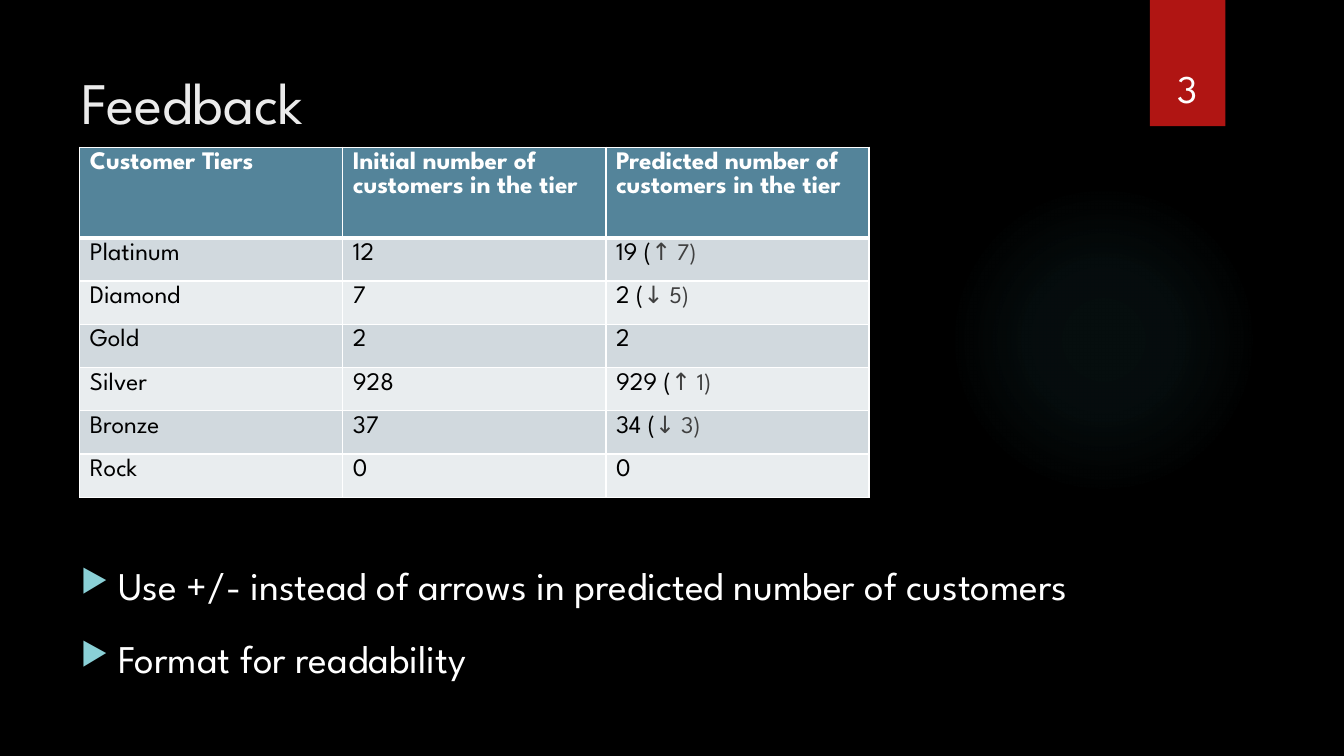
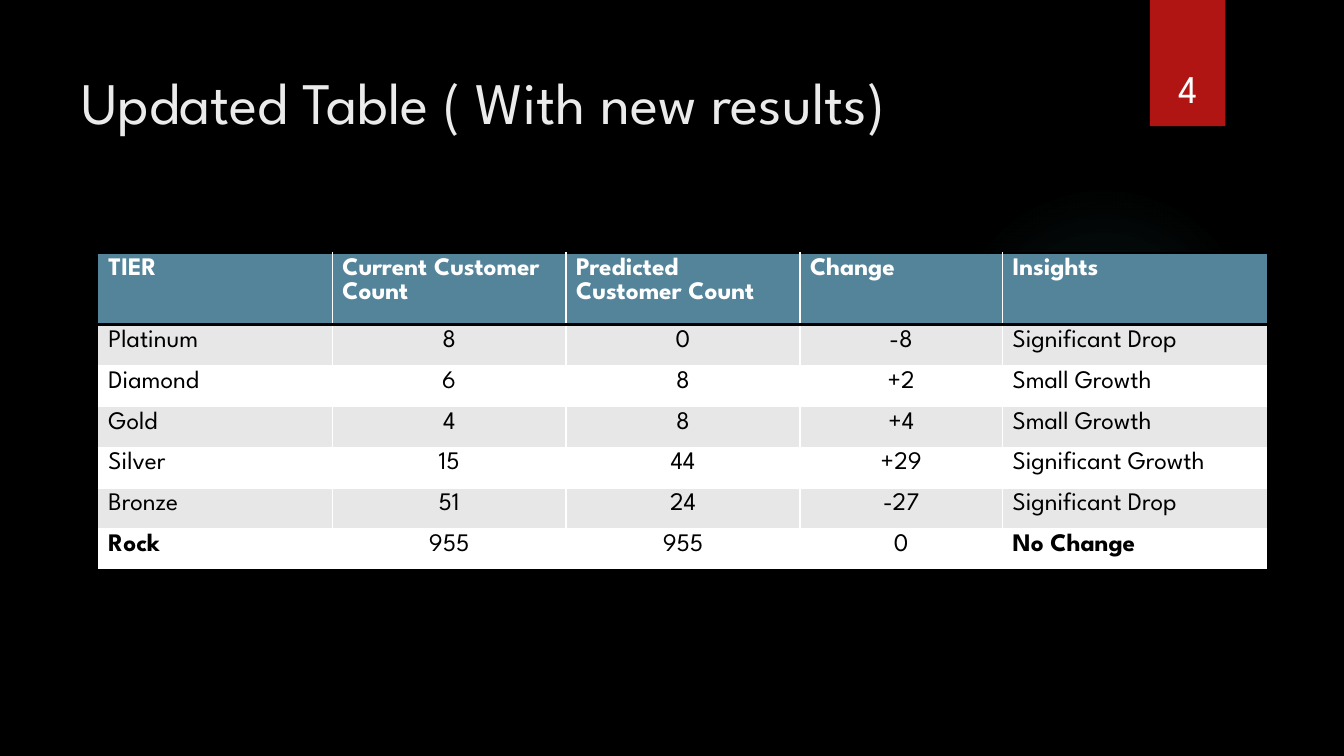
from dataclasses import dataclass

from pptx import Presentation
from pptx.dml.color import RGBColor
from pptx.enum.shapes import MSO_SHAPE
from pptx.enum.text import MSO_ANCHOR, PP_ALIGN
from pptx.oxml import parse_xml
from pptx.oxml.ns import nsdecls
from pptx.util import Cm, Pt

FONT = "League Spartan"
COLOURS = {
    "black": "000000",
    "white": "FFFFFF",
    "title": "EBEBEB",
    "ribbon": "B01513",
    "glow": "50B9C1",
    "bullet": "8AD0D6",
    "header": "54849A",
    "change": "404040",
    "blue band": "D1D9DE",
    "pale blue band": "E9EDEF",
    "grey band": "E7E7E7",
}


@dataclass
class Box:
    """A rectangle in centimetres."""
    left: float
    top: float
    width: float
    height: float

    def lengths(self):
        """Return the four measures as slide lengths."""
        return [Cm(n) for n in (self.left, self.top, self.width, self.height)]


@dataclass
class TableStyle:
    """The bands and borders of a table; an edge is (colour, points) or None."""
    bands: tuple
    top: tuple
    under_header: tuple
    bottom: tuple
    sides: tuple
    inner: tuple = ("white", 1)


TITLE_BOX = Box(1.8, 1.27, 26.14, 2.54)
RIBBON_BOX = Box(28.98, 0, 1.9, 3.18)
GLOW_BOX = Box(23.9, 4.65, 7.82, 7.82)

FEEDBACK_STYLE = TableStyle(("blue band", "pale blue band"), ("white", 1),
                            ("white", 3), ("white", 1), ("white", 1))
UPDATED_STYLE = TableStyle(("grey band", "white"), ("black", 2),
                           ("black", 2), ("black", 2), None)

FEEDBACK_ROWS = [
    ["Customer Tiers", "Initial number of customers in the tier",
     "Predicted number of customers in the tier"],
    ["Platinum", "12", ("19 (", "↑ 7)")],
    ["Diamond", "7", ("2 (", "↓ 5)")],
    ["Gold", "2", "2"],
    ["Silver", "928", ("929 (", "↑ 1)")],
    ["Bronze", "37", ("34 (", "↓ 3)")],
    ["Rock", "0", "0"],
]
FEEDBACK_POINTS = [
    "Use +/- instead of arrows in predicted number of customers",
    "Format for readability",
]
UPDATED_ROWS = [
    ["TIER", "Current Customer Count", "Predicted Customer Count", "Change", "Insights"],
    ["Platinum", "8", "0", "-8", "Significant Drop"],
    ["Diamond", "6", "8", "+2", "Small Growth"],
    ["Gold", "4", "8", "+4", "Small Growth"],
    ["Silver", "15", "44", "+29", "Significant Growth"],
    ["Bronze", "51", "24", "-27", "Significant Drop"],
    ["Rock", "955", "955", "0", "No Change"],
]


def colour(name):
    """Return a named colour."""
    return RGBColor.from_string(COLOURS[name])


def set_font(font, size, colour_name, bold=False):
    """Style the font of a paragraph or run."""
    font.name = FONT
    font.size = Pt(size)
    font.bold = bold
    font.color.rgb = colour(colour_name)


def add_text(page, box, lines, size, colour_name, anchor=MSO_ANCHOR.TOP):
    """Add a wrapping text box and return its paragraphs."""
    frame = page.shapes.add_textbox(*box.lengths()).text_frame
    frame.word_wrap = True
    frame.vertical_anchor = anchor
    frame.text = "\n".join(lines)
    for para in frame.paragraphs:
        set_font(para.font, size, colour_name)
    return frame.paragraphs


def add_plain_shape(page, box, kind):
    """Add a preset shape without line or shadow."""
    shape = page.shapes.add_shape(kind, *box.lengths())
    shape.line.fill.background()
    shape.shadow.inherit = False
    return shape


def add_glow(page, box):
    """Add the faint round glow behind the content."""
    glow = add_plain_shape(page, box, MSO_SHAPE.OVAL)
    stops = "".join(
        f'<a:gs pos="{place * 1000}"><a:srgbClr val="{COLOURS["glow"]}">'
        f'<a:alpha val="{alpha * 1000}"/></a:srgbClr></a:gs>'
        for place, alpha in ((0, 7), (36, 6), (69, 0), (100, 0)))
    gradient = parse_xml(
        f'<a:gradFill {nsdecls("a")}><a:gsLst>{stops}</a:gsLst><a:path path="circle">'
        '<a:fillToRect l="50000" t="50000" r="50000" b="50000"/></a:path></a:gradFill>')
    glow.element.spPr.insert(2, gradient)


def add_ribbon(page, box, number):
    """Add the red ribbon with the slide number."""
    ribbon = add_plain_shape(page, box, MSO_SHAPE.RECTANGLE)
    ribbon.fill.solid()
    ribbon.fill.fore_color.rgb = colour("ribbon")
    number_box = Box(box.left - 0.22, box.top + 0.81, box.width + 0.44, 2.13)
    para = add_text(page, number_box, [str(number)], 28, "white", MSO_ANCHOR.BOTTOM)[0]
    para.alignment = PP_ALIGN.CENTER


def add_page(deck, title, number):
    """Add a page with the shared glow, ribbon and title."""
    page = deck.slides.add_slide(deck.slide_layouts[6])
    add_glow(page, GLOW_BOX)
    add_ribbon(page, RIBBON_BOX, number)
    add_text(page, TITLE_BOX, [title], 42, "title", MSO_ANCHOR.MIDDLE)
    return page


def add_bullets(page, box, lines):
    """Add a list with triangle bullets."""
    for index, para in enumerate(add_text(page, box, lines, 28, "white")):
        properties = para._p.get_or_add_pPr()
        properties.set("marL", str(Cm(0.95)))
        properties.set("indent", str(-Cm(0.95)))
        bullet = (f'<a:buClr {nsdecls("a")}><a:srgbClr val="{COLOURS["bullet"]}"/></a:buClr>',
                  f'<a:buSzPct {nsdecls("a")} val="80000"/>',
                  f'<a:buChar {nsdecls("a")} char="▶"/>')
        for place, xml in enumerate(bullet):
            properties.insert(place, parse_xml(xml))
        if index:
            para.space_before = Pt(18.5)


def set_border(cell, side, edge):
    """Draw one side of a cell, or clear it when there is no edge."""
    width, paint = 0, "<a:noFill/>"
    if edge:
        width = Pt(edge[1])
        paint = f'<a:solidFill><a:srgbClr val="{COLOURS[edge[0]]}"/></a:solidFill>'
    line = f'<a:ln{side} {nsdecls("a")} w="{width}">{paint}</a:ln{side}>'
    cell._tc.get_or_add_tcPr().append(parse_xml(line))


def fill_cell(cell, text, fill, colour_name, bold, centred):
    """Write a cell; the second part of a pair is a smaller grey run."""
    cell.fill.solid()
    cell.fill.fore_color.rgb = colour(fill)
    para = cell.text_frame.paragraphs[0]
    set_font(para.font, 18, colour_name, bold)
    para.alignment = PP_ALIGN.CENTER if centred else PP_ALIGN.LEFT
    for index, part in enumerate([text] if isinstance(text, str) else text):
        span = para.add_run()
        span.text = part
        if index:
            set_font(span.font, 17, "change")


def add_tier_table(page, box, rows, widths, header_height, style,
                   centred=(), bold_cells=()):
    """Add a banded table whose columns share the width of the box."""
    table = page.shapes.add_table(len(rows), len(widths), *box.lengths()).table
    table.horz_banding = False
    for column, width in zip(table.columns, widths):
        column.width = Cm(box.width * width / sum(widths))
    row_height = (box.height - header_height) / (len(rows) - 1)
    inner_rows = [style.inner] * (len(rows) - 2)
    across = [style.top, style.under_header, *inner_rows, style.bottom]
    down = [style.sides, *[style.inner] * (len(widths) - 1), style.sides]
    for r, texts in enumerate(rows):
        table.rows[r].height = Cm(row_height if r else header_height)
        fill = style.bands[(r - 1) % 2] if r else "header"
        for c, text in enumerate(texts):
            cell = table.cell(r, c)
            edges = {"L": down[c], "R": down[c + 1], "T": across[r], "B": across[r + 1]}
            for side, edge in edges.items():
                set_border(cell, side, edge)
            fill_cell(cell, text, fill, "black" if r else "white",
                      r == 0 or (r, c) in bold_cells, r > 0 and c in centred)


def feedback_page(deck):
    """Build the page with the first table and the feedback on it."""
    page = add_page(deck, "Feedback", 3)
    add_bullets(page, Box(1.78, 14.02, 31.04, 4.5), FEEDBACK_POINTS)
    add_tier_table(page, Box(2.01, 3.71, 19.89, 8.82), FEEDBACK_ROWS, (1, 1, 1),
                   2.28, FEEDBACK_STYLE)


def updated_page(deck):
    """Build the page with the new results."""
    page = add_page(deck, "Updated Table ( With new results)", 4)
    add_tier_table(page, Box(2.48, 6.38, 29.44, 7.98), UPDATED_ROWS,
                   (2.32, 2.32, 2.32, 2.01, 2.62), 1.8, UPDATED_STYLE,
                   centred=(1, 2, 3), bold_cells=((6, 0), (6, 4)))


def main():
    """Build and save the deck."""
    deck = Presentation()
    deck.slide_width, deck.slide_height = Cm(33.87), Cm(19.05)
    background = deck.slide_master.background.fill
    background.solid()
    background.fore_color.rgb = colour("black")
    feedback_page(deck)
    updated_page(deck)
    deck.save("out.pptx")


if __name__ == "__main__":
    main()
